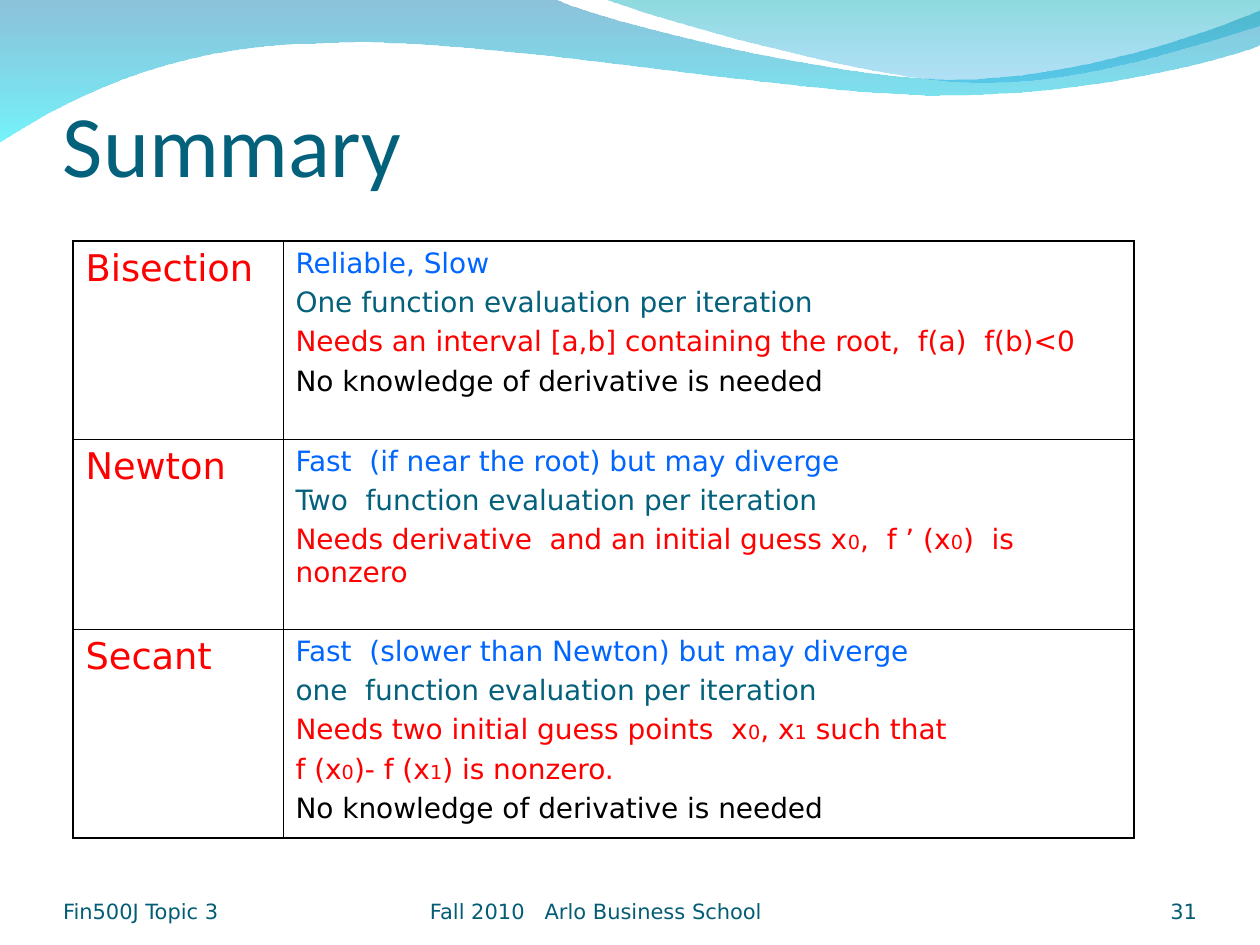
import pptx
import pptx.dml.color
import pptx.enum.text
import pptx.oxml
import pptx.oxml.ns
import pptx.util

RGBColor = pptx.dml.color.RGBColor
TITLE_TEAL = RGBColor(0x04, 0x61, 0x7B)
FOOTER_TEAL = RGBColor(0x04, 0x5C, 0x75)
RED = RGBColor(0xFF, 0x00, 0x00)
BLUE = RGBColor(0x00, 0x66, 0xFF)
BLACK = RGBColor(0x00, 0x00, 0x00)
WAVE_TOP = RGBColor(0x00, 0x79, 0xAF)
WAVE_BOTTOM = RGBColor(0x00, 0xEB, 0xF8)
CREST_TOP = RGBColor(0x00, 0xAD, 0xB6)
CREST_BOTTOM = RGBColor(0x00, 0x9B, 0xE5)

BODY_FONT = "DejaVu Sans"
TITLE_FONT = "Calibri"
EMU_PER_PX = 914400 / 126
OUTER, INNER = 1.08, 0.45  # border widths in points

ANCHOR = pptx.enum.text.MSO_ANCHOR
ALIGN = pptx.enum.text.PP_ALIGN

# Each segment holds one point (line) or three points (Bezier curve)
WAVE = [
    [(554, -1)],
    [(600, 21), (837, 79), (955, 79)],
    [(1075, 79), (1207, 33), (1260, 11)],
    [(1261, 45)],
    [(1239, 55), (1096, 96), (940, 95)],
    [(784, 95), (481, 35), (324, 43)],
    [(163, 44), (58, 105), (-1, 142)],
]
CREST = [
    [(641, 14), (859, 78), (969, 82)],
    [(1079, 87), (1211, 40), (1260, 26)],
    [(1260, 0)],
]

# Subscripts stand between bars
METHODS = [
    ("Bisection", 198, [
        ("Reliable, Slow", BLUE),
        ("One function evaluation per iteration", TITLE_TEAL),
        ("Needs an interval [a,b] containing the root,  f(a)  f(b)<0", RED),
        ("No knowledge of derivative is needed", BLACK),
    ]),
    ("Newton", 190, [
        ("Fast  (if near the root) but may diverge", BLUE),
        ("Two  function evaluation per iteration", TITLE_TEAL),
        ("Needs derivative  and an initial guess x|0|,  f ’ (x|0|)  is nonzero", RED),
    ]),
    ("Secant", 209, [
        ("Fast  (slower than Newton) but may diverge", BLUE),
        ("one  function evaluation per iteration", TITLE_TEAL),
        ("Needs two initial guess points  x|0|, x|1| such that", RED),
        ("f (x|0|)- f (x|1|) is nonzero.", RED),
        ("No knowledge of derivative is needed", BLACK),
    ]),
]


def px(length):
    return pptx.util.Emu(round(length * EMU_PER_PX))


def set_all(target, values):
    for name, value in values.items():
        setattr(target, name, value)


def add_span(para, text, size, color, font=BODY_FONT):
    span = para.add_run()
    span.text = text
    set_all(span.font, {"name": font, "size": pptx.util.Pt(size)})
    span.font.color.rgb = color


def add_text(page, place, text, size, color, font=BODY_FONT, align=ALIGN.LEFT, top=0):
    box = page.shapes.add_textbox(*map(px, place))
    set_all(box.text_frame, {
        "word_wrap": True, "vertical_anchor": ANCHOR.BOTTOM,
        "margin_left": 0, "margin_right": 0,
        "margin_top": px(top), "margin_bottom": 0,
    })
    para = box.text_frame.paragraphs[0]
    para.alignment = align
    add_span(para, text, size, color, font)


def bend_segments(shape, segments):
    """Join the lines of each three-point segment into one Bezier curve."""
    lines = iter(list(shape._element.iter(pptx.oxml.ns.qn("a:lnTo"))))
    for segment in segments:
        parts = [next(lines) for _ in segment]
        if len(parts) == 3:
            curve = pptx.oxml.parse_xml(
                f'<a:cubicBezTo {pptx.oxml.ns.nsdecls("a")}/>')
            parts[0].addprevious(curve)
            for part in parts:
                curve.append(part[0])
                part.getparent().remove(part)


def add_wave(page, start, segments, stops):
    builder = page.shapes.build_freeform(*start, scale=EMU_PER_PX)
    builder.add_line_segments(sum(segments, []), close=True)
    wave = builder.convert_to_shape()
    bend_segments(wave, segments)
    wave.shadow.inherit = False
    wave.line.fill.background()
    wave.fill.gradient()
    wave.fill.gradient_angle = 270
    for stop, (color, _) in zip(wave.fill.gradient_stops, stops):
        stop.color.rgb = color
    colors = wave._element.spPr.iter(pptx.oxml.ns.qn("a:srgbClr"))
    for element, (_, opacity) in zip(colors, stops):
        element.append(pptx.oxml.parse_xml(
            f'<a:alpha {pptx.oxml.ns.nsdecls("a")} val="{opacity * 1000}"/>'))


def set_borders(cell, widths):
    properties = cell._tc.get_or_add_tcPr()
    for index, (side, width) in enumerate(zip("LRTB", widths)):
        properties.insert(index, pptx.oxml.parse_xml(
            f'<a:ln{side} {pptx.oxml.ns.nsdecls("a")} w="{pptx.util.Pt(width)}">'
            f'<a:solidFill><a:srgbClr val="{BLACK}"/></a:solidFill></a:ln{side}>'))


def fill_cell(cell, lines, size, space):
    cell.fill.background()
    cell.vertical_anchor = ANCHOR.TOP
    for number, (text, color) in enumerate(lines):
        frame = cell.text_frame
        para = frame.add_paragraph() if number else frame.paragraphs[0]
        para.space_before = pptx.util.Pt(space)
        for index, piece in enumerate(text.split("|")):
            add_span(para, piece, 11 if index % 2 else size, color)


def add_methods_table(page):
    widths = (210, 851)
    heights = [height for _, height, _ in METHODS]
    table = page.shapes.add_table(
        len(METHODS), 2, px(73), px(241), px(sum(widths)), px(sum(heights))).table
    set_all(table, {"first_row": False, "horz_banding": False})
    for column, width in zip(table.columns, widths):
        column.width = px(width)
    for row, (name, height, lines) in enumerate(METHODS):
        table.rows[row].height = px(height)
        fill_cell(table.cell(row, 0), [(name, RED)], 21, 5.2)
        fill_cell(table.cell(row, 1), lines, 16, 4)
        top = OUTER if row == 0 else INNER
        bottom = OUTER if row == len(METHODS) - 1 else INNER
        set_borders(table.cell(row, 0), (OUTER, INNER, top, bottom))
        set_borders(table.cell(row, 1), (INNER, OUTER, top, bottom))


def main():
    deck = pptx.Presentation()
    set_all(deck, {"slide_width": px(1260), "slide_height": px(945)})
    page = deck.slides.add_slide(deck.slide_layouts[6])

    # Waves along the top
    add_wave(page, (0, -1), WAVE, [(WAVE_TOP, 45), (WAVE_BOTTOM, 55)])
    add_wave(page, (604, -1), CREST, [(CREST_TOP, 45), (CREST_BOTTOM, 30)])

    # Title and table
    add_text(page, (63, 38, 1134, 157), "Summary", 50, TITLE_TEAL, TITLE_FONT, top=6)
    add_methods_table(page)

    # Footer
    for left, width, text, align in (
        (63, 294, "Fin500J Topic 3", ALIGN.LEFT),
        (430, 399, "Fall 2010   Arlo Business School", ALIGN.LEFT),
        (903, 294, "31", ALIGN.RIGHT),
    ):
        add_text(page, (left, 861, width, 63), text, 12, FOOTER_TEAL, align=align)

    deck.save("out.pptx")


if __name__ == "__main__":
    main()
